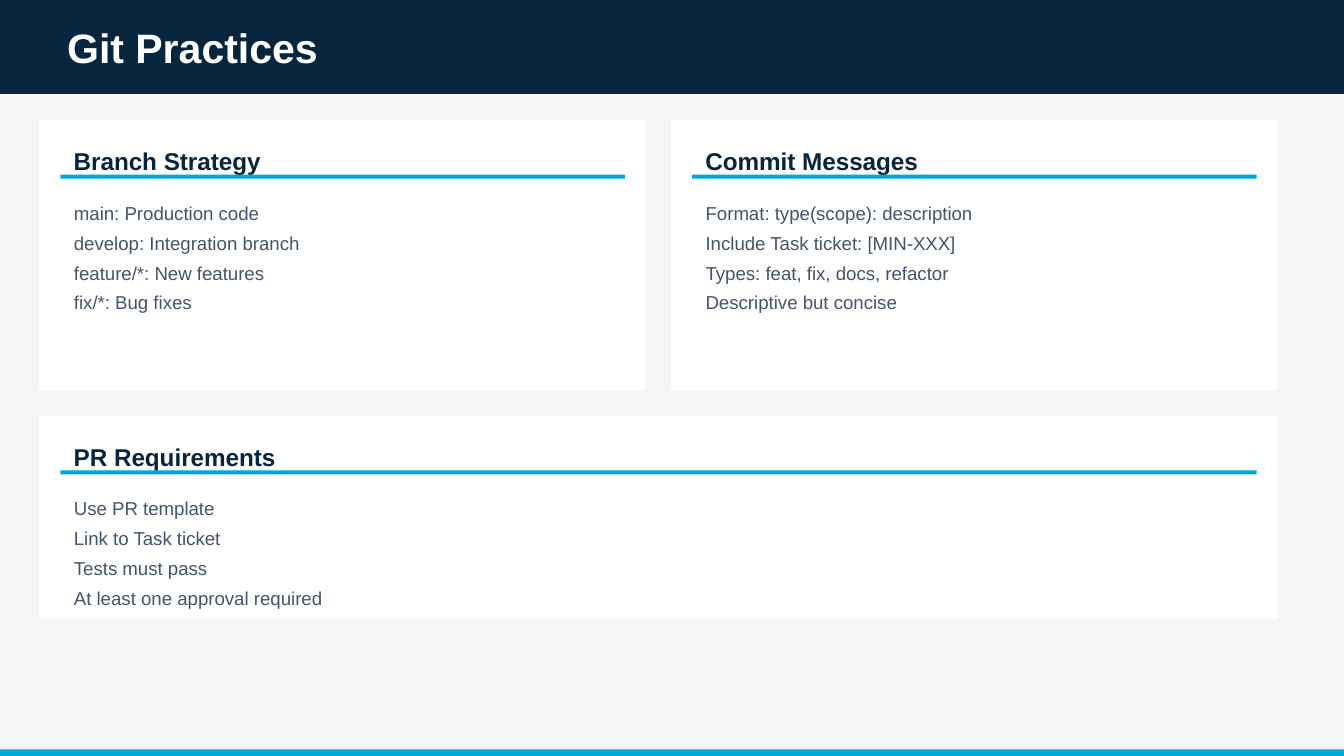
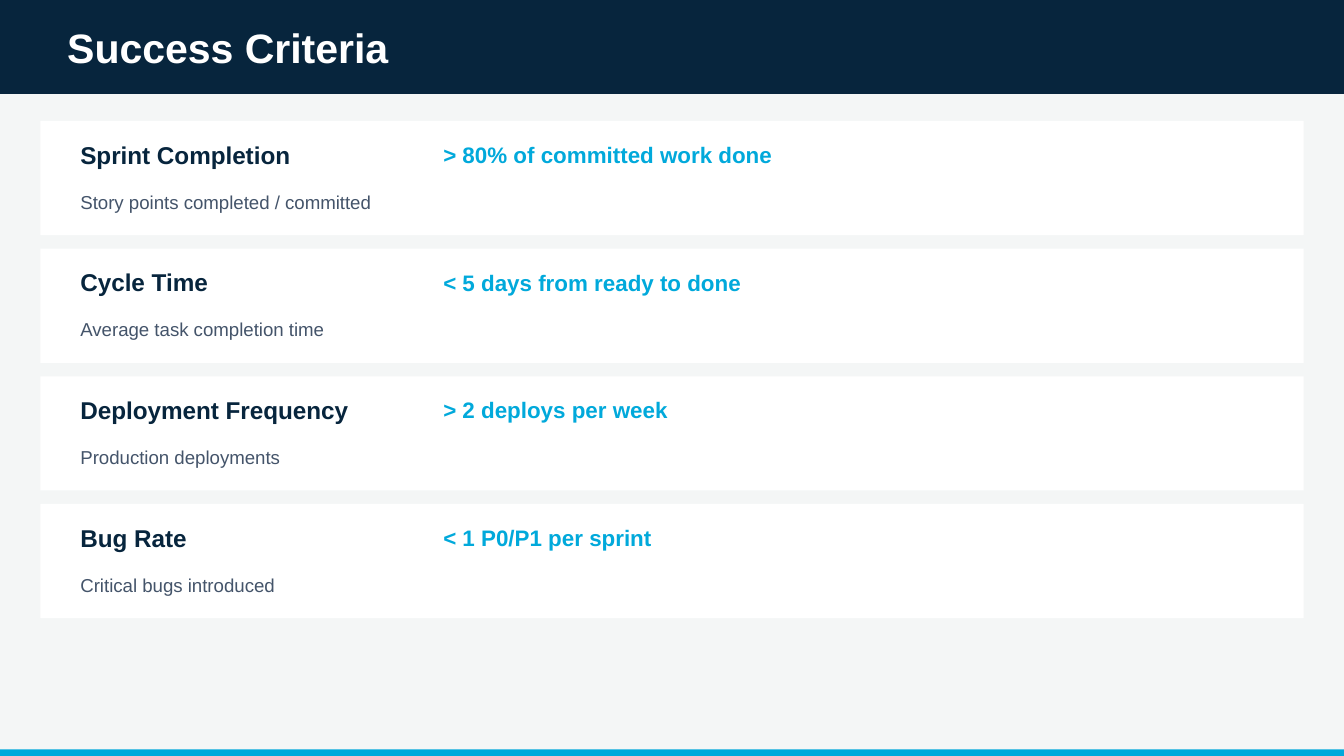
from dataclasses import dataclass
from typing import Any, NamedTuple

from lxml.etree import SubElement as Sub
from pptx import Presentation
from pptx.dml.color import RGBColor as Rgb
from pptx.enum.shapes import MSO_SHAPE as Kind
from pptx.enum.text import MSO_ANCHOR as Anchor, MSO_AUTO_SIZE as Auto, PP_ALIGN as Align
from pptx.oxml.ns import qn
from pptx.util import Emu, Pt

PX = 4572  # 200 px to the inch
WIDE, HIGH = 2000, 1125


class Box(NamedTuple):
    x: int
    y: int
    w: int
    h: int

    def emu(self) -> list[Emu]:
        return [Emu(n * PX) for n in self]


class Type(NamedTuple):
    size: int
    color: Rgb
    bold: bool = False
    after: int = 0
    anchor: Any = Anchor.MIDDLE


@dataclass(frozen=True)
class Theme:
    face: str = "Arial"
    navy: Rgb = Rgb(0x07, 0x25, 0x3D)
    cyan: Rgb = Rgb(0x01, 0xA9, 0xDB)
    page: Rgb = Rgb(0xF4, 0xF6, 0xF6)
    white: Rgb = Rgb(0xFF, 0xFF, 0xFF)
    title: Type = Type(22, white, True)
    head: Type = Type(13, navy, True)
    goal: Type = Type(12, cyan, True)
    note: Type = Type(10, Rgb(0x44, 0x54, 0x6A))
    items: Type = note._replace(after=4, anchor=Anchor.TOP)


@dataclass(frozen=True)
class Card:
    box: Box
    head: str
    items: tuple[str, ...]


class Goal(NamedTuple):
    name: str
    mark: str
    note: str


LOOK = Theme()

CARDS = (
    Card(Box(60, 180, 900, 400), "Branch Strategy", (
        "main: Production code", "develop: Integration branch",
        "feature/*: New features", "fix/*: Bug fixes")),
    Card(Box(1000, 180, 900, 400), "Commit Messages", (
        "Format: type(scope): description", "Include Task ticket: [MIN-XXX]",
        "Types: feat, fix, docs, refactor", "Descriptive but concise")),
    Card(Box(60, 620, 1840, 300), "PR Requirements", (
        "Use PR template", "Link to Task ticket",
        "Tests must pass", "At least one approval required")),
)

GOALS = (
    Goal("Sprint Completion", "> 80% of committed work done",
         "Story points completed / committed"),
    Goal("Cycle Time", "< 5 days from ready to done", "Average task completion time"),
    Goal("Deployment Frequency", "> 2 deploys per week", "Production deployments"),
    Goal("Bug Rate", "< 1 P0/P1 per sprint", "Critical bugs introduced"),
)


def assign(obj: Any, **vals: Any) -> None:
    for key, val in vals.items():
        setattr(obj, key, val)


# Basic parts
def rect(slide: Any, box: Box, color: Rgb, edge: bool = False) -> None:
    shape = slide.shapes.add_shape(Kind.RECTANGLE, *box.emu())
    shape.shadow.inherit = False
    shape.fill.solid()
    shape.fill.fore_color.rgb = color
    if edge:
        shape.line.color.rgb = color
        shape.line.width = Pt(1)
    else:
        shape.line.fill.background()


def write(shape: Any, lines: tuple[str, ...], kind: Type) -> None:
    frame = shape.text_frame
    frame.text = "\n".join(lines)
    assign(frame, word_wrap=True, auto_size=Auto.NONE, vertical_anchor=kind.anchor)
    for para in frame.paragraphs:
        assign(para, alignment=Align.LEFT, space_before=Pt(0), space_after=Pt(kind.after))
        for run in para.runs:
            assign(run.font, name=LOOK.face, size=Pt(kind.size), bold=kind.bold)
            run.font.color.rgb = kind.color


def label(slide: Any, box: Box, text: str, kind: Type) -> None:
    write(slide.shapes.add_textbox(*box.emu()), (text,), kind)


def place(holder: Any, box: Box, lines: tuple[str, ...], kind: Type) -> None:
    """Move a placeholder to the front and fill it without bullets."""
    assign(holder, **dict(zip(("left", "top", "width", "height"), box.emu())))
    holder.element.getparent().append(holder.element)
    write(holder, lines, kind)
    for para in holder.text_frame.paragraphs:
        props = para._p.get_or_add_pPr()
        props.set("marL", "0")
        props.set("indent", "0")
        Sub(props, qn("a:buNone"))


# Shared frame: header band, title and footer line
def start(deck: Any, layout: str, title: str) -> Any:
    slide = deck.slides.add_slide(deck.slide_layouts.get_by_name(layout))
    slide.background.fill.solid()
    slide.background.fill.fore_color.rgb = LOOK.page
    rect(slide, Box(0, 0, WIDE, 140), LOOK.navy)
    place(slide.shapes.title, Box(80, 30, 1800, 80), (title,), LOOK.title)
    rect(slide, Box(0, HIGH - 10, WIDE, 10), LOOK.cyan)
    return slide


# Card with a ruled heading and a list
def panel(slide: Any, card: Card, holder: Any) -> None:
    x, y, w, h = card.box
    left, wide = x + 30, w - 60
    rect(slide, card.box, LOOK.white, edge=True)
    label(slide, Box(left, y + 30, wide, 60), card.head, LOOK.head)
    rect(slide, Box(left, y + 80, wide, 6), LOOK.cyan)
    place(holder, Box(left, y + 110, wide, h - 140), card.items, LOOK.items)


# Row with a name, a target and a note
def row(slide: Any, y: int, goal: Goal) -> None:
    rect(slide, Box(60, y, 1880, 170), LOOK.white)
    label(slide, Box(100, y + 20, 500, 60), goal.name, LOOK.head)
    label(slide, Box(640, y + 20, 600, 60), goal.mark, LOOK.goal)
    label(slide, Box(100, y + 90, 1800, 60), goal.note, LOOK.note)


def main() -> None:
    deck = Presentation()
    assign(deck, slide_width=Emu(WIDE * PX), slide_height=Emu(HIGH * PX))

    # Git practices
    slide = start(deck, "Comparison", "Git Practices")
    bodies = [p for p in slide.placeholders if 1 <= p.placeholder_format.idx <= 4]
    for card, holder in zip(CARDS, bodies):
        panel(slide, card, holder)
    for spare in bodies[len(CARDS):]:
        spare.element.getparent().remove(spare.element)

    # Success criteria
    slide = start(deck, "Title Only", "Success Criteria")
    for i, goal in enumerate(GOALS):
        row(slide, 180 + 190 * i, goal)

    deck.save("out.pptx")


if __name__ == "__main__":
    main()
